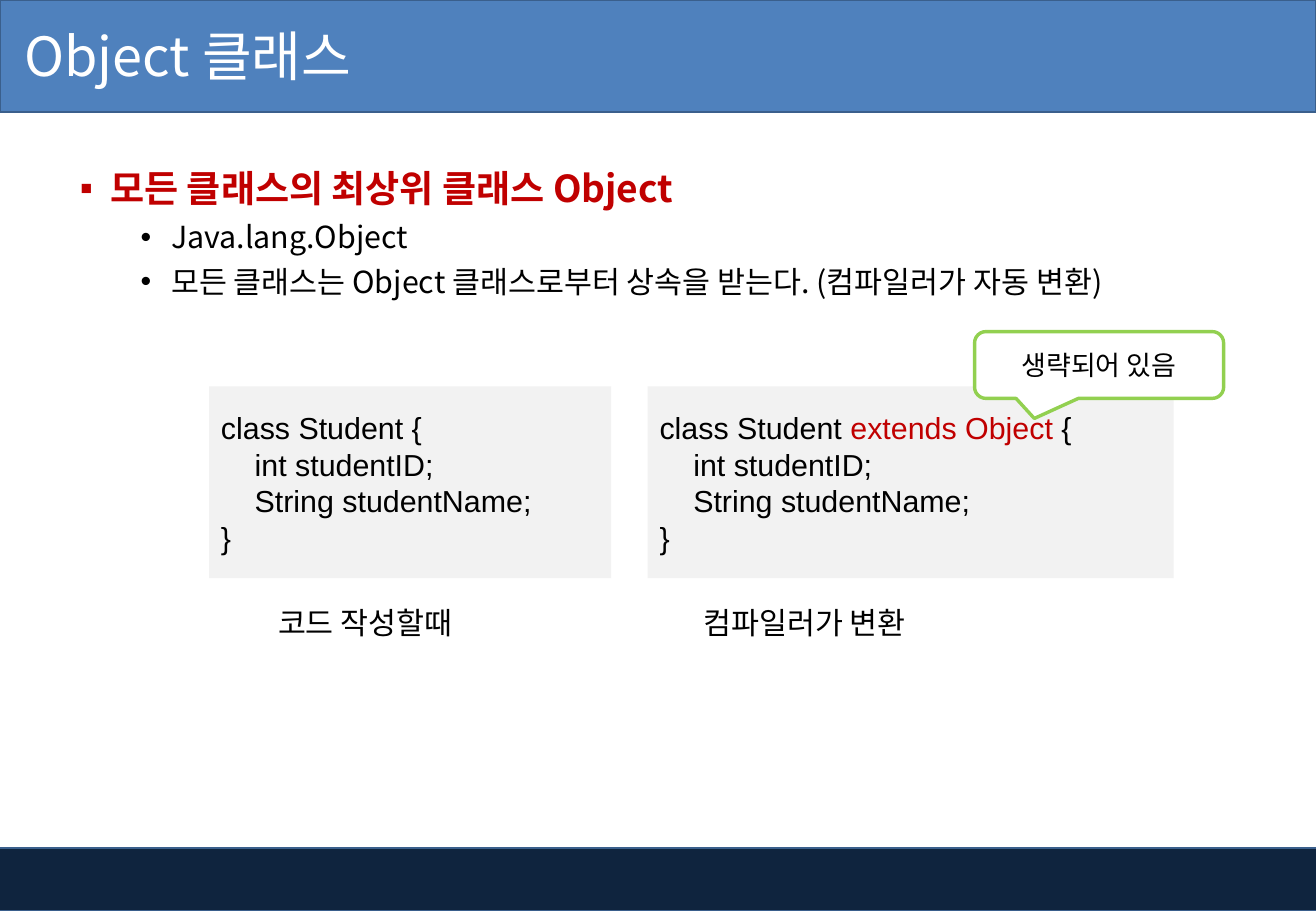
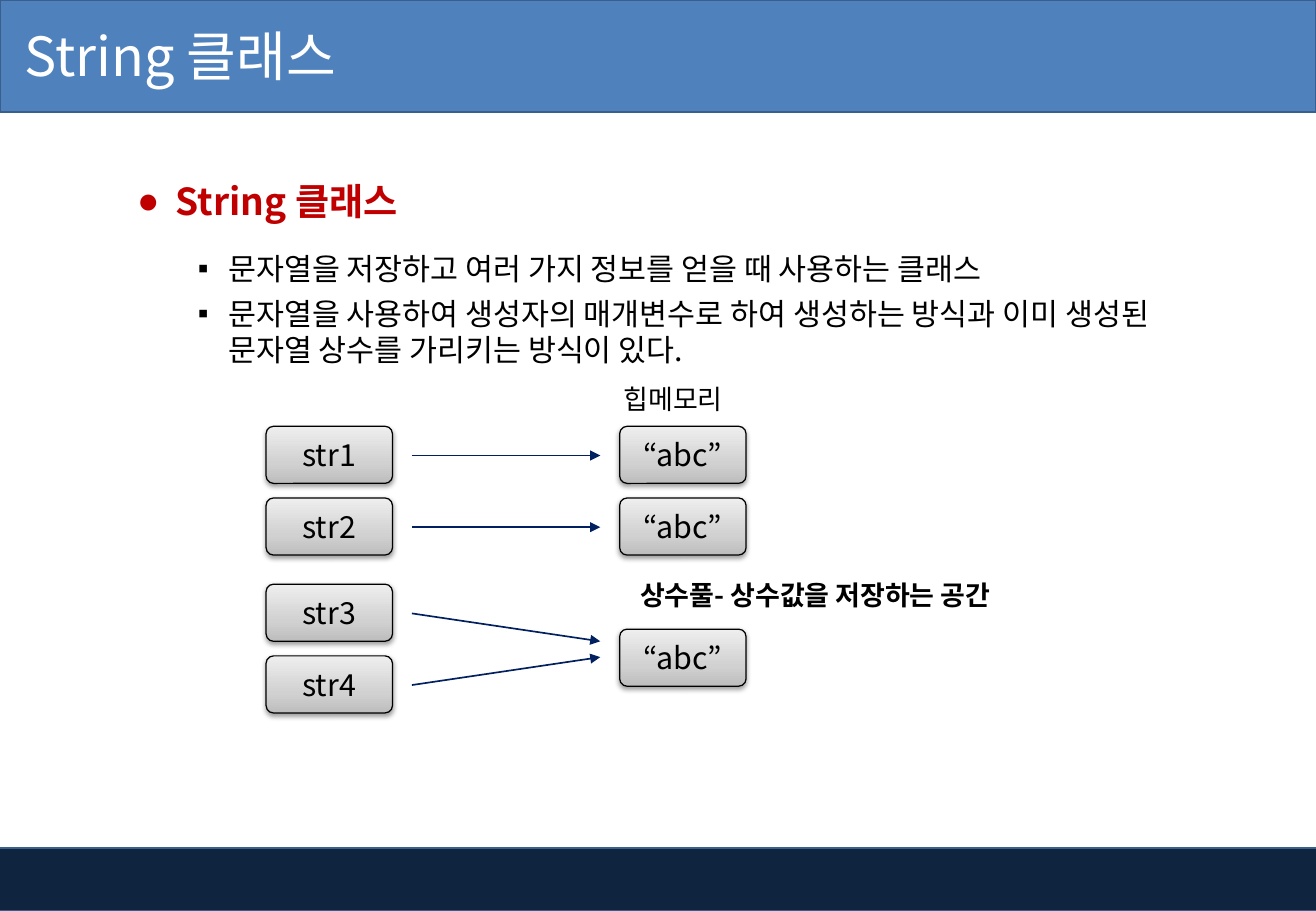
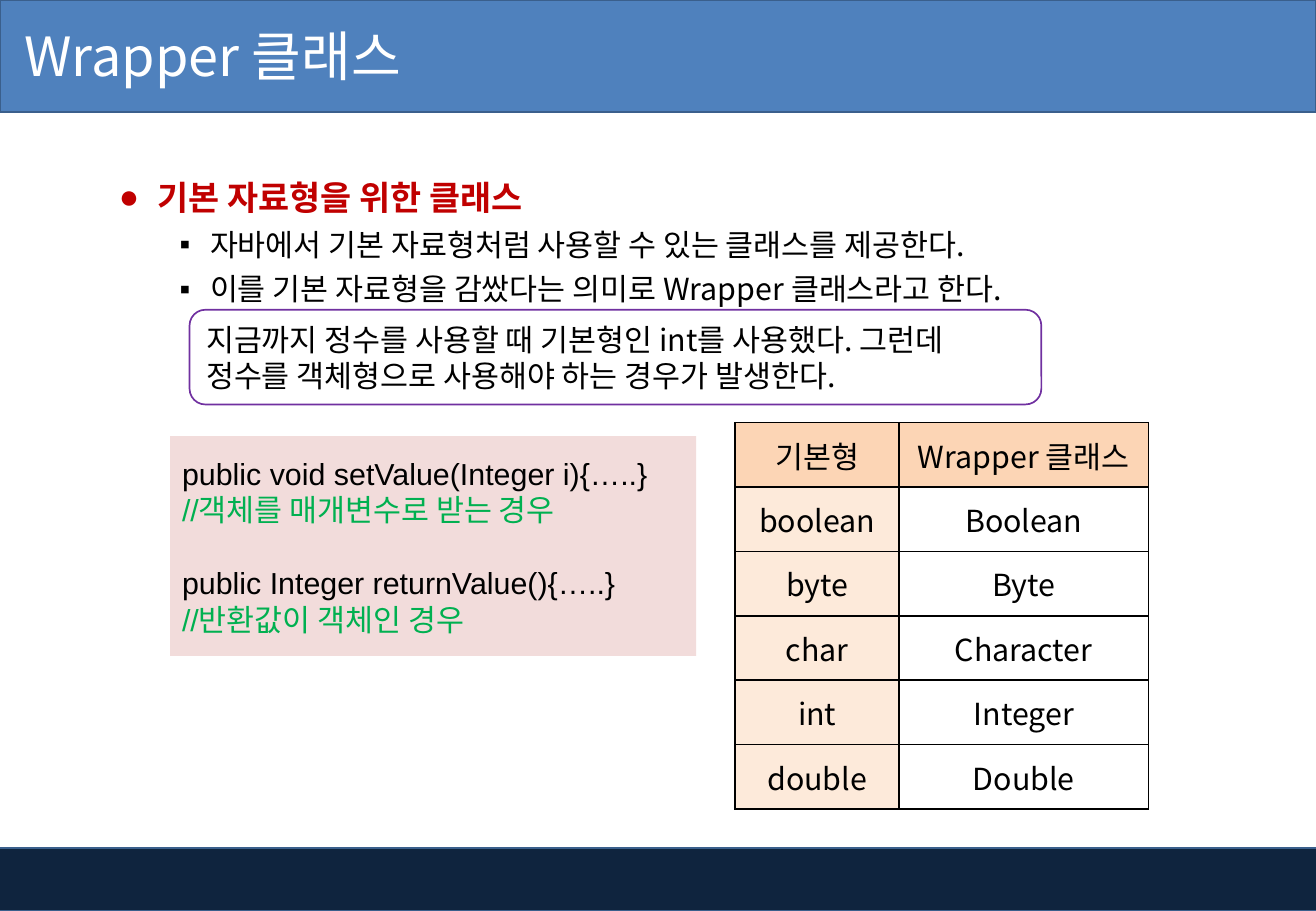
import dataclasses

import pptx
import pptx.dml.color
import pptx.enum.shapes
import pptx.enum.text
import pptx.oxml
import pptx.oxml.ns
import pptx.util

Inches = pptx.util.Inches
Pt = pptx.util.Pt
SHAPE = pptx.enum.shapes.MSO_SHAPE
ALIGN = pptx.enum.text.PP_ALIGN
ANCHOR = pptx.enum.text.MSO_ANCHOR
qn = pptx.oxml.ns.qn
NAMESPACE = pptx.oxml.ns.nsdecls("a")

WIDTH, HEIGHT = 10.83, 7.5


@dataclasses.dataclass(frozen=True)
class Theme:
    font: str = "Noto Sans CJK KR"
    code_font: str = "Arial"
    text: str = "000000"
    white: str = "FFFFFF"
    accent: str = "C00000"
    comment: str = "00B050"
    title_band: str = "4F81BD"
    footer_band: str = "0F243E"
    band_line: str = "3A5F8C"
    code_fill: str = "F2F2F2"
    usage_fill: str = "F2DCDB"
    callout_line: str = "92D050"
    note_line: str = "7030A0"
    arrow: str = "002060"
    table_head: str = "FCD5B5"
    table_side: str = "FDEADA"
    gradient: tuple = ((0, "BDBDBD"), (35, "D1D1D1"), (100, "EEEEEE"))
    title_size: int = 32
    heading_size: int = 22
    small_heading_size: int = 20
    body_size: int = 18
    label_size: int = 16


def color(value):
    return pptx.dml.color.RGBColor.from_string(value)


def element(markup):
    return pptx.oxml.parse_xml(markup.replace(" ", f" {NAMESPACE} ", 1))


class SlideBuilder:
    def __init__(self, deck, theme):
        self.deck = deck
        self.theme = theme
        self.slide = None

    def start(self, title):
        theme = self.theme
        self.slide = self.deck.slides.add_slide(self.deck.slide_layouts[6])
        for box, fill in (
            ((-0.04, 6.98, 10.88, 0.52), theme.footer_band),
            ((0, 0, WIDTH, 0.92), theme.title_band),
        ):
            self.shape(SHAPE.RECTANGLE, box, fill, theme.band_line)
        frame = self.text_box((0, -0.02, 6.78, 0.94), title, theme.title_size, theme.white)
        frame.margin_left = Inches(0.2)

    def style(self, span, size, ink=None, font=None, bold=False):
        span.font.size = Pt(size)
        span.font.bold = bold
        span.font.name = font or self.theme.font
        span.font.color.rgb = color(ink or self.theme.text)
        latin = span.font._element.find(qn("a:latin"))
        latin.addnext(element(f'<a:ea typeface="{self.theme.font}"/>'))

    def set_text(self, frame, text, size, ink=None, align=ALIGN.LEFT, bold=False):
        frame.word_wrap = True
        frame.vertical_anchor = ANCHOR.MIDDLE
        frame.text = text
        para = frame.paragraphs[0]
        para.alignment = align
        for span in para.runs:
            self.style(span, size, ink, bold=bold)

    def shape(self, kind, box, fill, line=None, weight=1):
        shape = self.slide.shapes.add_shape(kind, *map(Inches, box))
        shape.shadow.inherit = False
        shape.fill.solid()
        shape.fill.fore_color.rgb = color(fill)
        if line:
            shape.line.color.rgb = color(line)
            shape.line.width = Pt(weight)
        else:
            shape.line.fill.background()
        return shape

    def text_box(self, box, text, size, ink=None, align=ALIGN.LEFT, bold=False):
        frame = self.slide.shapes.add_textbox(*map(Inches, box)).text_frame
        self.set_text(frame, text, size, ink, align, bold)
        return frame

    def bullets(self, box, heading, items, mark, item_mark, size, hang=0.25, first_spacing=1.0):
        frame = self.slide.shapes.add_textbox(*map(Inches, box)).text_frame
        frame.word_wrap = True
        frame.text = "\n".join([heading, *items])
        for index, para in enumerate(frame.paragraphs):
            head = index == 0
            properties = para._p.get_or_add_pPr()
            properties.set("marL", str(Inches(hang if head else 0.75)))
            properties.set("indent", str(-Inches(hang if head else 0.25)))
            properties.append(element('<a:buFont typeface="Arial"/>'))
            properties.append(element(f'<a:buChar char="{mark if head else item_mark}"/>'))
            para.level = 0 if head else 1
            para.line_spacing = 1.5 if head else first_spacing if index == 1 else 1.0
            para.space_before = Pt(0 if head else 5)
            for span in para.runs:
                if head:
                    self.style(span, size, self.theme.accent, bold=True)
                else:
                    self.style(span, self.theme.body_size)

    def code(self, box, lines, fill, gaps=()):
        frame = self.shape(SHAPE.RECTANGLE, box, fill).text_frame
        frame.word_wrap = True
        frame.vertical_anchor = ANCHOR.MIDDLE
        for index, spans in enumerate(lines):
            para = frame.paragraphs[0] if index == 0 else frame.add_paragraph()
            para.alignment = ALIGN.LEFT
            if index in gaps:
                para.space_before = Pt(21.6)
            for text, ink in spans:
                span = para.add_run()
                span.text = text
                self.style(span, self.theme.body_size, ink, self.theme.code_font)

    def callout(self, box, text):
        theme = self.theme
        shape = self.shape(SHAPE.ROUNDED_RECTANGULAR_CALLOUT, box, theme.white, theme.callout_line, 2)
        for index, value in enumerate((-0.26, 0.8, 0.17)):
            shape.adjustments[index] = value
        self.set_text(shape.text_frame, text, theme.label_size, align=ALIGN.CENTER)

    def note(self, box, text):
        theme = self.theme
        shape = self.shape(SHAPE.ROUNDED_RECTANGLE, box, theme.white, theme.note_line)
        self.set_text(shape.text_frame, text, theme.body_size)

    def memory_cell(self, left, top, text):
        theme = self.theme
        box = (left, top, 1.04, 0.47)
        shape = self.shape(SHAPE.ROUNDED_RECTANGLE, box, theme.white, theme.text, 0.75)
        shape.adjustments[0] = 0.13
        stops = "".join(
            f'<a:gs pos="{place * 1000}"><a:srgbClr val="{value}"/></a:gs>'
            for place, value in theme.gradient
        )
        properties = shape._element.spPr
        properties.replace(
            properties.find(qn("a:solidFill")),
            element(f'<a:gradFill rotWithShape="1"><a:gsLst>{stops}</a:gsLst>'
                    '<a:lin ang="16200000" scaled="0"/></a:gradFill>'),
        )
        properties.find(qn("a:effectLst")).append(element(
            f'<a:outerShdw blurRad="{Pt(3.1)}" dist="{Pt(1.6)}" dir="5400000" rotWithShape="0">'
            f'<a:srgbClr val="{theme.text}"><a:alpha val="38000"/></a:srgbClr></a:outerShdw>'
        ))
        self.set_text(shape.text_frame, text, theme.body_size, align=ALIGN.CENTER)

    def arrow(self, start, end):
        kind = pptx.enum.shapes.MSO_CONNECTOR.STRAIGHT
        connector = self.slide.shapes.add_connector(kind, *map(Inches, (*start, *end)))
        connector.line.color.rgb = color(self.theme.arrow)
        connector.line.width = Pt(1)
        properties = connector._element.spPr
        properties.find(qn("a:ln")).append(element('<a:tailEnd type="triangle"/>'))
        properties.append(element("<a:effectLst />"))

    def table(self, box, widths, rows):
        theme = self.theme
        graphic = self.slide.shapes.add_table(len(rows), len(widths), *map(Inches, box))
        table = graphic.table
        table.first_row = False
        table.horz_banding = False
        for column, width in zip(table.columns, widths):
            column.width = Inches(width)
        for row_index, row in enumerate(rows):
            for column_index, text in enumerate(row):
                cell = table.cell(row_index, column_index)
                self.set_text(cell.text_frame, text, theme.body_size, align=ALIGN.CENTER)
                cell.vertical_anchor = ANCHOR.MIDDLE
                properties = cell._tc.get_or_add_tcPr()
                for side in ("lnL", "lnR", "lnT", "lnB"):
                    properties.append(element(
                        f'<a:{side} w="{Pt(1)}"><a:solidFill><a:srgbClr val="{theme.text}"/>'
                        f'</a:solidFill></a:{side}>'
                    ))
                if row_index and column_index:
                    cell.fill.background()
                else:
                    cell.fill.solid()
                    cell.fill.fore_color.rgb = color(
                        theme.table_side if row_index else theme.table_head)


def object_slide(builder):
    theme = builder.theme
    builder.start("Object 클래스")
    builder.bullets(
        (0.56, 1.13, 9.89, 1.36), "모든 클래스의 최상위 클래스 Object",
        ["Java.lang.Object",
         "모든 클래스는 Object 클래스로부터 상속을 받는다. (컴파일러가 자동 변환)"],
        "▪", "•", theme.heading_size,
    )
    members = [[(line, theme.text)] for line in
               ("    int studentID;", "    String studentName;", "}")]
    written = [("class Student {", theme.text)]
    compiled = [("class Student ", theme.text), ("extends Object ", theme.accent), ("{", theme.text)]
    builder.code((1.72, 3.18, 3.31, 1.58), [written, *members], theme.code_fill)
    builder.code((5.33, 3.18, 4.33, 1.58), [compiled, *members], theme.code_fill)
    builder.callout((8.02, 2.73, 2.05, 0.55), "생략되어 있음")
    for left, caption in ((2.19, "코드 작성할때"), (5.69, "컴파일러가 변환")):
        builder.text_box((left, 4.92, 2.13, 0.4), caption, theme.body_size)


def string_slide(builder):
    theme = builder.theme
    builder.start("String 클래스")
    builder.bullets(
        (1.03, 1.24, 9.03, 1.75), "String 클래스",
        ["문자열을 저장하고 여러 가지 정보를 얻을 때 사용하는 클래스",
         "문자열을 사용하여 생성자의 매개변수로 하여 생성하는 방식과 이미 생성된 "
         "문자열 상수를 가리키는 방식이 있다."],
        "●", "▪", theme.heading_size, 0.32, 1.5,
    )
    for number, top in enumerate((3.51, 4.1, 4.81, 5.4), 1):
        builder.memory_cell(2.19, top, f"str{number}")
    for top in (3.51, 4.1, 5.18):
        builder.memory_cell(5.1, top, "“abc”")
    for start, end in ((3.75, 3.75), (4.34, 4.34), (5.05, 5.28), (5.64, 5.41)):
        builder.arrow((3.39, start), (4.94, end))
    builder.text_box((4.94, 3.08, 1.2, 0.4), "힙메모리", theme.label_size, align=ALIGN.CENTER)
    builder.text_box((4.94, 4.7, 3.54, 0.4), "상수풀- 상수값을 저장하는 공간",
                     theme.label_size, align=ALIGN.CENTER, bold=True)


def wrapper_slide(builder):
    theme = builder.theme
    builder.start("Wrapper 클래스")
    builder.bullets(
        (0.88, 1.24, 8.71, 1.51), "기본 자료형을 위한 클래스",
        ["자바에서 기본 자료형처럼 사용할 수 있는 클래스를 제공한다.",
         "이를 기본 자료형을 감쌌다는 의미로 Wrapper 클래스라고 한다."],
        "●", "▪", theme.small_heading_size, 0.32,
    )
    builder.table(
        (6.05, 3.48, 3.4, 3.18), (1.35, 2.05),
        [("기본형", "Wrapper 클래스"), ("boolean", "Boolean"), ("byte", "Byte"),
         ("char", "Character"), ("int", "Integer"), ("double", "Double")],
    )
    builder.note(
        (1.56, 2.55, 7.01, 0.78),
        "지금까지 정수를 사용할 때 기본형인 int를 사용했다. 그런데 "
        "정수를 객체형으로 사용해야 하는 경우가 발생한다.",
    )
    builder.code(
        (1.4, 3.59, 4.33, 1.81),
        [[("public void setValue(Integer i){…..}", theme.text)],
         [("//객체를 매개변수로 받는 경우", theme.comment)],
         [("public Integer returnValue(){…..}", theme.text)],
         [("//반환값이 객체인 경우", theme.comment)]],
        theme.usage_fill, gaps=(2,),
    )


def main():
    deck = pptx.Presentation()
    deck.slide_width = Inches(WIDTH)
    deck.slide_height = Inches(HEIGHT)
    builder = SlideBuilder(deck, Theme())
    for build in (object_slide, string_slide, wrapper_slide):
        build(builder)
    deck.save("out.pptx")


if __name__ == "__main__":
    main()
